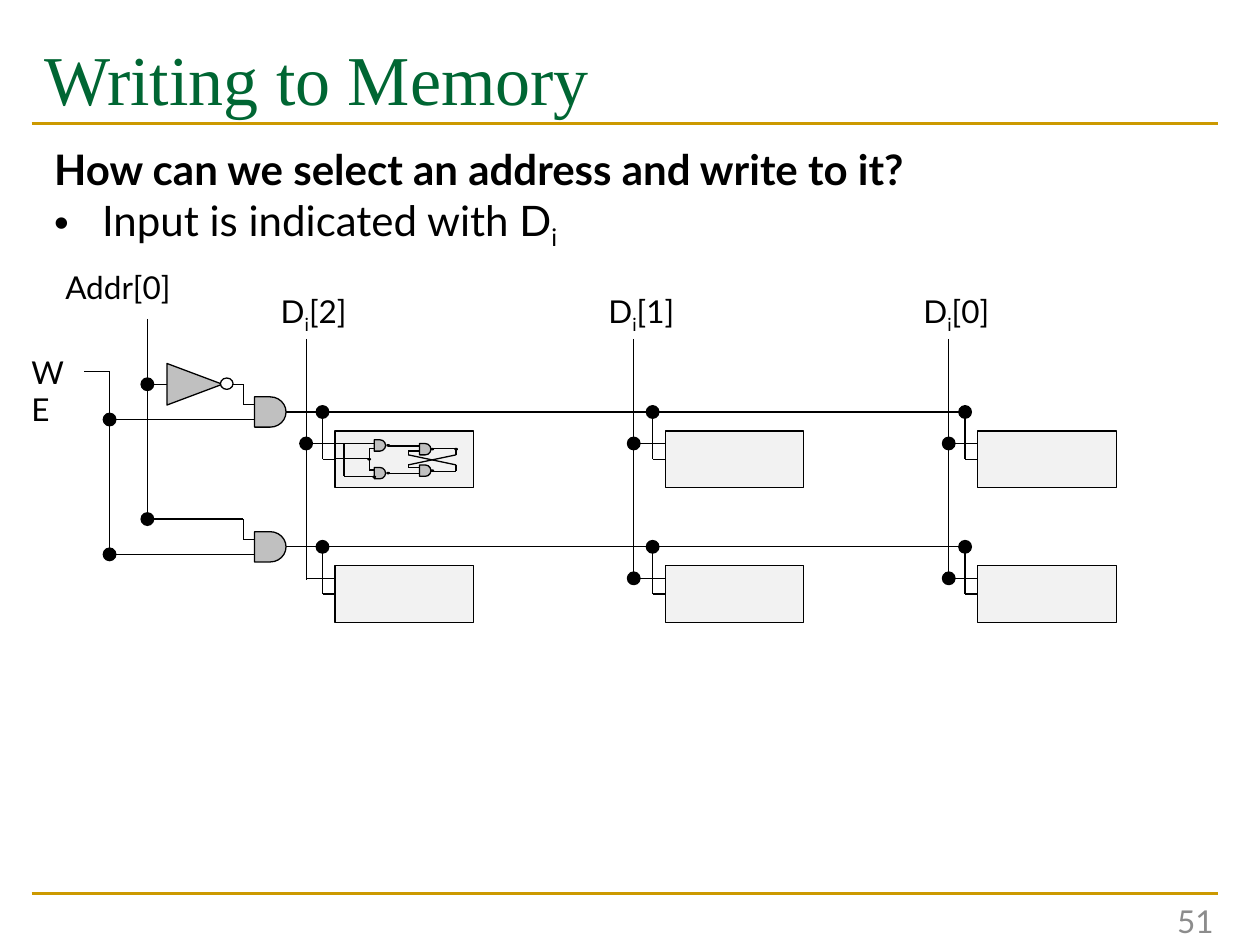
"""Build the slide on writing to a two-row, three-bit memory."""
from lxml import etree
from pptx import Presentation
from pptx.dml.color import RGBColor
from pptx.enum.shapes import MSO_CONNECTOR, MSO_SHAPE
from pptx.enum.text import MSO_ANCHOR, MSO_AUTO_SIZE, PP_ALIGN
from pptx.oxml.ns import qn
from pptx.util import Inches, Pt

STRAIGHT = MSO_CONNECTOR.STRAIGHT
RECT, OVAL = MSO_SHAPE.RECTANGLE, MSO_SHAPE.OVAL
GATE, TRIANGLE = MSO_SHAPE.FLOWCHART_DELAY, MSO_SHAPE.ISOSCELES_TRIANGLE
TOP, MIDDLE = MSO_ANCHOR.TOP, MSO_ANCHOR.MIDDLE
LEFT, RIGHT = PP_ALIGN.LEFT, PP_ALIGN.RIGHT
FIT = MSO_AUTO_SIZE.SHAPE_TO_FIT_TEXT
COLORS = {name: RGBColor.from_string(value) for name, value in {
    "title": "006633", "rule": "CC9900", "ink": "000000", "number": "8C8C8C",
    "gate": "C0C0C0", "cell": "F2F2F2", "bubble": "FFFFFF"}.items()}

prs = Presentation()
prs.slide_width, prs.slide_height = Inches(10), Inches(7.5)
slide = prs.slides.add_slide(prs.slide_layouts[1])
shapes = slide.shapes


def wire(x1, y1, x2, y2, color="ink", width=0.75):
    line = shapes.add_connector(STRAIGHT, Inches(x1), Inches(y1), Inches(x2), Inches(y2))
    line.line.color.rgb = COLORS[color]
    line.line.width = Pt(width)
    etree.SubElement(line._element.spPr, qn("a:effectLst"))
    return line


def part(kind, x, y, w, h, fill):
    piece = shapes.add_shape(kind, Inches(x), Inches(y), Inches(w), Inches(h))
    piece.shadow.inherit = False
    piece.fill.solid()
    piece.fill.fore_color.rgb = COLORS[fill]
    piece.line.color.rgb = COLORS["ink"]
    piece.line.width = Pt(0.75)
    return piece


for rule_y in (7.09, 0.98):
    wire(0.25, rule_y, 9.67, rule_y, "rule", 1.5)

title = shapes.title
title.left, title.top, title.width, title.height = (
    Inches(0.25), Inches(0.17), Inches(9.42), Inches(1.17))
title.text_frame.text = "Writing to Memory"
title.text_frame.vertical_anchor = TOP
title.text_frame.margin_top = Inches(0.11)
heading = title.text_frame.paragraphs[0]
heading.alignment = LEFT
heading.font.name, heading.font.size = "Times New Roman", Pt(40)
heading.font.color.rgb = COLORS["title"]

body = slide.placeholders[1]
body.left, body.top, body.width, body.height = (
    Inches(0.33), Inches(1.09), Inches(7.97), Inches(0.91))
body.text_frame.word_wrap = False
body.text_frame.auto_size = FIT
question = body.text_frame.paragraphs[0]
question.text = "How can we select an address and write to it?"
answer = body.text_frame.add_paragraph()
answer.add_run().text = "Input is indicated with D"
subscript = answer.add_run()
subscript.text = "i"
subscript._r.get_or_add_rPr().set("baseline", "-25000")
for paragraph, indent, bullet in ((question, 0, None), (answer, 0.38, "•")):
    properties = paragraph._p.get_or_add_pPr()
    properties.set("marL", str(Inches(indent)))
    properties.set("indent", str(-Inches(indent)))
    if bullet:
        etree.SubElement(properties, qn("a:buChar"), char=bullet)
    else:
        etree.SubElement(properties, qn("a:buNone"))
    paragraph.space_before = Pt(0)
    paragraph.font.name, paragraph.font.size = "Lato", Pt(24)
    paragraph.font.bold = paragraph is question
    paragraph.font.color.rgb = COLORS["ink"]

ADDRESS_X, ENABLE_X, GATE_IN_X = 1.17, 0.87, 1.93
ROWS = (3.27, 4.34)
COLUMNS = ((2.43, 2.66), (5.03, 5.28), (7.53, 7.76))
CELL_W, CELL_H = 1.1, 0.45
DOT = 0.1

wire(ADDRESS_X, 2.53, ADDRESS_X, ROWS[1] - 0.22)
wire(0.67, 2.95, ENABLE_X, 2.95)
wire(ENABLE_X, 2.95, ENABLE_X, ROWS[1] + 0.06)
for data_x, cell_x in COLUMNS:
    wire(data_x, 2.69, data_x, 4.6)

dots = []
for row_y in ROWS:
    tap_y, enable_y, data_y = row_y - 0.22, row_y + 0.06, row_y + 0.25
    wire(ADDRESS_X, tap_y, GATE_IN_X, tap_y)
    wire(GATE_IN_X, tap_y, GATE_IN_X, row_y - 0.06)
    wire(GATE_IN_X, row_y - 0.06, 2.15, row_y - 0.06)
    wire(ENABLE_X, enable_y, 2.03, enable_y)
    wire(2.15, row_y, 7.66, row_y)
    part(GATE, 2.02, row_y - 0.12, 0.25, 0.24, "gate")
    dots += [(ADDRESS_X, tap_y), (ENABLE_X, enable_y)]
    for data_x, cell_x in COLUMNS:
        word_x, stub_y = cell_x - 0.1, row_y + 0.15 + CELL_H / 2
        cell = part(RECT, cell_x, row_y + 0.15, CELL_W, CELL_H, "cell")
        wire(data_x, data_y, cell_x, data_y)
        wire(word_x, row_y, word_x, stub_y)
        wire(word_x, stub_y, cell_x, stub_y).end_connect(cell, 1)
        dots.append((word_x, row_y))
        if (data_x, row_y) != (COLUMNS[0][0], ROWS[1]):
            dots.append((data_x, data_y))

latch_wires = (
    (2.66, 3.52, 2.97, 3.52), (2.66, 3.64, 2.92, 3.64),
    (2.73, 3.52, 2.73, 3.78), (2.73, 3.78, 2.96, 3.78),
    (2.93, 3.56, 2.93, 3.73), (2.93, 3.56, 2.98, 3.56), (2.93, 3.73, 2.98, 3.73),
    (3.08, 3.54, 3.33, 3.54), (3.08, 3.76, 3.33, 3.76),
    (3.24, 3.58, 3.33, 3.58), (3.24, 3.71, 3.33, 3.71),
    (3.24, 3.58, 3.24, 3.61), (3.24, 3.69, 3.24, 3.71),
    (3.24, 3.61, 3.62, 3.69), (3.24, 3.69, 3.62, 3.61),
    (3.62, 3.56, 3.62, 3.61), (3.62, 3.69, 3.62, 3.74),
    (3.42, 3.56, 3.63, 3.56), (3.42, 3.74, 3.62, 3.74))
for ends in latch_wires:
    wire(*ends)
for gate_x, gate_y in ((2.97, 3.49), (2.97, 3.71), (3.33, 3.52), (3.33, 3.69)):
    part(GATE, gate_x, gate_y, 0.09, 0.09, "gate")
for bubble_x, bubble_y, fill in (
        (3.07, 3.53, "bubble"), (3.07, 3.75, "bubble"), (3.42, 3.56, "bubble"),
        (3.42, 3.73, "bubble"), (2.96, 3.78, "bubble"),
        (2.92, 3.64, "ink"), (3.61, 3.56, "ink")):
    part(OVAL, bubble_x, bubble_y, 0.02, 0.01, fill)

inverter = part(TRIANGLE, 1.38, 2.83, 0.33, 0.44, "gate")
inverter.rotation = 90
part(OVAL, 1.75, 3, 0.1, 0.09, "bubble")
for dot_x, dot_y in dots:
    part(OVAL, dot_x - DOT / 2, dot_y - DOT / 2, DOT, DOT, "ink")

labels = [(0.42, 2.08, 1.06, ("Addr[0]",)), (0.15, 2.75, 0.57, ("WE",)),
          (7.48, 7.11, 2.25, ("51",))]
for bit, (data_x, cell_x) in zip((2, 1, 0), COLUMNS):
    labels.append((data_x - 0.3, 2.27, 0.74, ("D", "i", f"[{bit}]")))
for x, y, width, pieces in labels:
    is_number = pieces == ("51",)
    label = shapes.add_textbox(Inches(x), Inches(y), Inches(width), Inches(0.4))
    frame = label.text_frame
    frame.word_wrap = is_number or pieces == ("WE",)
    frame.vertical_anchor = MIDDLE if is_number else TOP
    caption = frame.paragraphs[0]
    caption.alignment = RIGHT if is_number else LEFT
    caption.font.name, caption.font.size = "Lato", Pt(18)
    caption.font.color.rgb = COLORS["number" if is_number else "ink"]
    for piece in pieces:
        run = caption.add_run()
        run.text = piece
        if piece == "i":
            run._r.get_or_add_rPr().set("baseline", "-25000")

prs.save("out.pptx")
